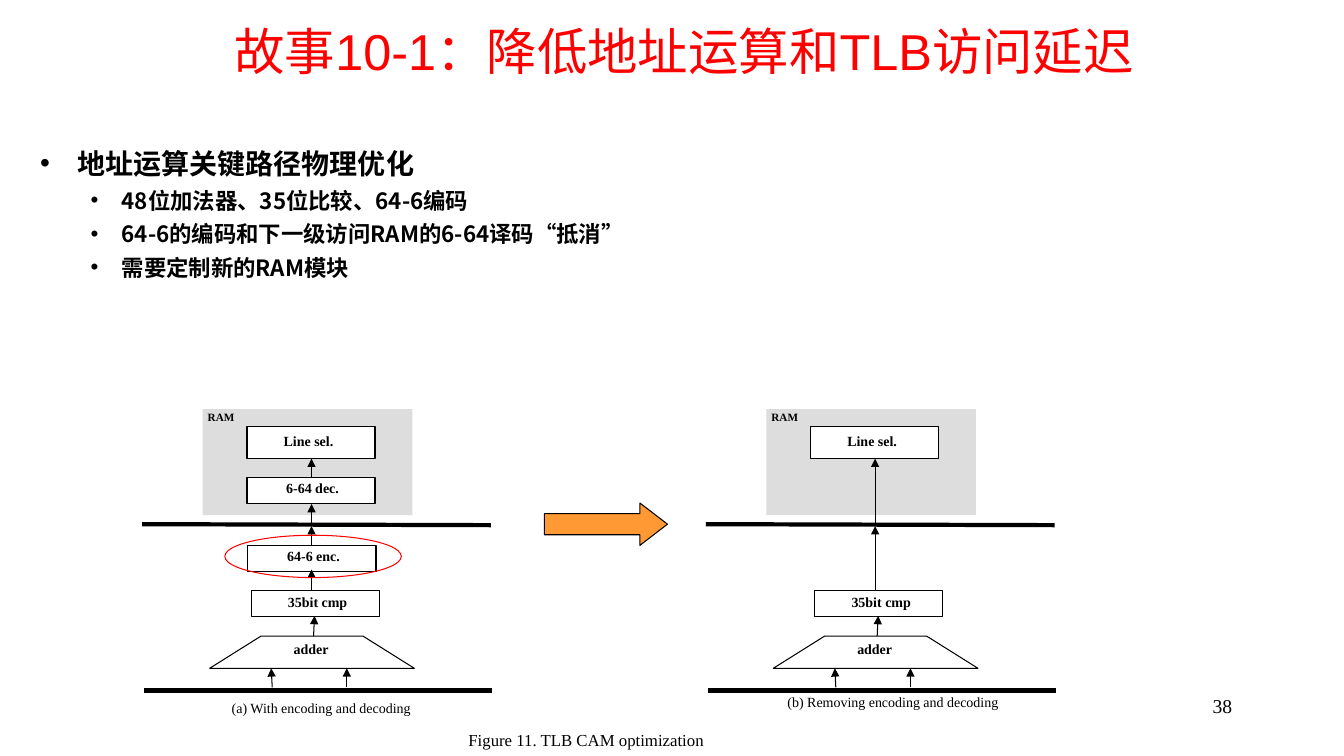
import pptx
import pptx.util
import pptx.dml.color
import pptx.enum.shapes
import pptx.enum.text
import pptx.oxml.ns
import lxml.etree

KIND = pptx.enum.shapes.MSO_SHAPE
ALIGN = pptx.enum.text.PP_ALIGN
ANCHOR = pptx.enum.text.MSO_ANCHOR
CELL = 91440
SERIF = "Times New Roman"
HAN = "Noto Sans CJK SC"
BLACK, WHITE, RED = "000000", "FFFFFF", "FF0000"
GRAY, GOLD = "DDDDDD", "FF9933"
THIN, THICK = 0.75, 3
PAD = (1, 0.5)
STEP = 55.9


def grid(*cells):
    return [pptx.util.Emu(round(cell * CELL)) for cell in cells]


def tint(code):
    return pptx.dml.color.RGBColor.from_string(code)


def style(item, form):
    for name, value in form.items():
        setattr(item, name, value)


def child(node, tag, **attrs):
    return lxml.etree.SubElement(node, pptx.oxml.ns.qn(tag), **attrs)


def paint(shape, fill=None, edge=None):
    shape.shadow.inherit = False
    if fill:
        shape.fill.solid()
        shape.fill.fore_color.rgb = tint(fill)
    else:
        shape.fill.background()
    if edge:
        shape.line.color.rgb = tint(edge)
        shape.line.width = pptx.util.Pt(THIN)
    else:
        shape.line.fill.background()
    return shape


def frame(shape, pad=(0, 0), anchor=ANCHOR.TOP):
    side, edge = grid(*pad)
    body = shape.text_frame
    style(body, {
        "word_wrap": True, "vertical_anchor": anchor,
        "margin_left": side, "margin_right": side,
        "margin_top": edge, "margin_bottom": edge,
    })
    return body


def write(para, words, size, face=SERIF, bold=False, hue=BLACK, align=ALIGN.CENTER):
    para.alignment = align
    run = para.add_run()
    run.text = words
    style(run.font, {"size": pptx.util.Pt(size), "name": face, "bold": bold})
    run.font.color.rgb = tint(hue)
    child(run.font._element, "a:ea", typeface=HAN)


def text(slide, place, words, size, pad=(0, 0), anchor=ANCHOR.TOP, **form):
    shape = slide.shapes.add_textbox(*grid(*place))
    write(frame(shape, pad, anchor).paragraphs[0], words, size, **form)


def block(slide, kind, place, fill=None, edge=BLACK):
    return paint(slide.shapes.add_shape(kind, *grid(*place)), fill, edge)


def note(slide, place, words):
    shape = block(slide, KIND.RECTANGLE, place, WHITE, None)
    write(frame(shape).paragraphs[0], words, 10)


def line(slide, ends, width=THIN, head=False):
    link = slide.shapes.add_connector(
        pptx.enum.shapes.MSO_CONNECTOR.STRAIGHT, *grid(*ends))
    link.line.color.rgb = tint(BLACK)
    link.line.width = pptx.util.Pt(width)
    if head:
        child(link.line._get_or_add_ln(), "a:tailEnd", type="triangle")
    child(link._element.spPr, "a:effectLst")


def bullets(slide, place, items):
    body = frame(slide.shapes.add_textbox(*grid(*place)), PAD)
    for rank, (level, words) in enumerate(items):
        para = body.add_paragraph() if rank else body.paragraphs[0]
        style(para, {"level": level, "line_spacing": 1.25})
        left, hang = grid(*((3.7, -3.7), (8.1, -3.1))[level])
        props = para._p.get_or_add_pPr()
        props.set("marL", str(left))
        props.set("indent", str(hang))
        child(props, "a:buFont", typeface="Arial")
        child(props, "a:buChar", char="•")
        write(para, words, (20, 16)[level], HAN, True, align=ALIGN.LEFT)


def adder(slide, left):
    points = [grid(left + x, y) for x, y in
              ((20.8, 66.3), (25.9, 63.1), (36, 63.1), (41.1, 66.3))]
    draft = slide.shapes.build_freeform(*points[0], scale=1.0)
    draft.add_line_segments(points[1:], close=True)
    paint(draft.convert_to_shape(), WHITE, BLACK)
    text(slide, (left + 27.6, 63.5, 6.5, 2.1), "adder", 10, bold=True)


def stage(slide, left, box, label, words, pad=(0, 0)):
    for kind, (x, *rest) in (("box", box), ("label", label)):
        place = (left + x, *rest)
        if kind == "box":
            block(slide, KIND.RECTANGLE, place, WHITE)
        else:
            text(slide, place, words, 10, pad, bold=True)


def panel(slide, left, coded):
    line(slide, (left + 14.1, 52, left + 48.7, 52.1), THICK)
    line(slide, (left + 14.3, 68.5, left + 48.8, 68.5), THICK)
    block(slide, KIND.RECTANGLE, (left + 20.1, 40.6, 20.8, 10.5), GRAY, None)
    text(slide, (left + 20.6, 40.7, 5.8, 1.7), "RAM", 8, bold=True, align=ALIGN.LEFT)
    stage(slide, left, (24.5, 42.3, 12.7, 3.2), (25.1, 42.8, 11, 2.1),
          "Line sel.", (0.2, 0.1))
    stage(slide, left, (24.9, 58.6, 12.7, 2.6), (26.7, 58.9, 9.6, 1.7), "35bit cmp")
    adder(slide, left)
    if coded:
        stage(slide, left, (24.5, 47.4, 12.7, 2.6), (26.7, 47.6, 8.6, 1.9), "6-64 dec.")
        stage(slide, left, (24.6, 54.1, 12.7, 2.6), (26.8, 54.3, 8.6, 1.9), "64-6 enc.")
        hops = ((58.5, 56.5), (54.1, 52.2), (51.9, 50), (47.4, 45.5))
    else:
        hops = ((58.5, 52.2), (51.9, 45.5))
    wires = [(30.9, low, 30.9, high) for low, high in hops]
    wires += [(31.1, 63.1, 31.2, 61.1), (27, 68.2, 26.9, 66.3), (34.4, 68.2, 34.4, 66.3)]
    for x, low, end, high in wires:
        line(slide, (left + x, low, left + end, high), head=True)
    if coded:
        block(slide, KIND.OVAL, (left + 22.3, 53.1, 17.5, 4.2), edge=RED)


def main():
    deck = pptx.Presentation()
    wide, tall = grid(133.3, 75)
    style(deck, {"slide_width": wide, "slide_height": tall})
    slide = deck.slides.add_slide(deck.slide_layouts[6])
    text(slide, (95.5, 68.3, 27.7, 4.9), "38", 14, PAD, align=ALIGN.RIGHT)
    text(slide, (3, 0, 129.7, 10), "故事10-1：降低地址运算和TLB访问延迟", 36,
         PAD, ANCHOR.MIDDLE, face="Arial", hue=RED)
    bullets(slide, (3, 13.2, 126.1, 21.8), (
        (0, "地址运算关键路径物理优化"),
        (1, "48位加法器、35位比较、64-6编码"),
        (1, "64-6的编码和下一级访问RAM的6-64译码“抵消”"),
        (1, "需要定制新的RAM模块"),
    ))
    arrow = block(slide, KIND.RIGHT_ARROW, (54, 49.9, 12.2, 4.2), GOLD)
    arrow.adjustments[0], arrow.adjustments[1] = 0.5, 0.65
    note(slide, (17.4, 69.4, 28.9, 2.6), "(a) With encoding and decoding")
    note(slide, (74, 68.8, 29.1, 2.6), "(b) Removing encoding and decoding")
    text(slide, (39.5, 72.4, 37.3, 2.6), "Figure 11. TLB CAM optimization", 12)
    for rank, coded in enumerate((True, False)):
        panel(slide, rank * STEP, coded)
    deck.save("out.pptx")


if __name__ == "__main__":
    main()
